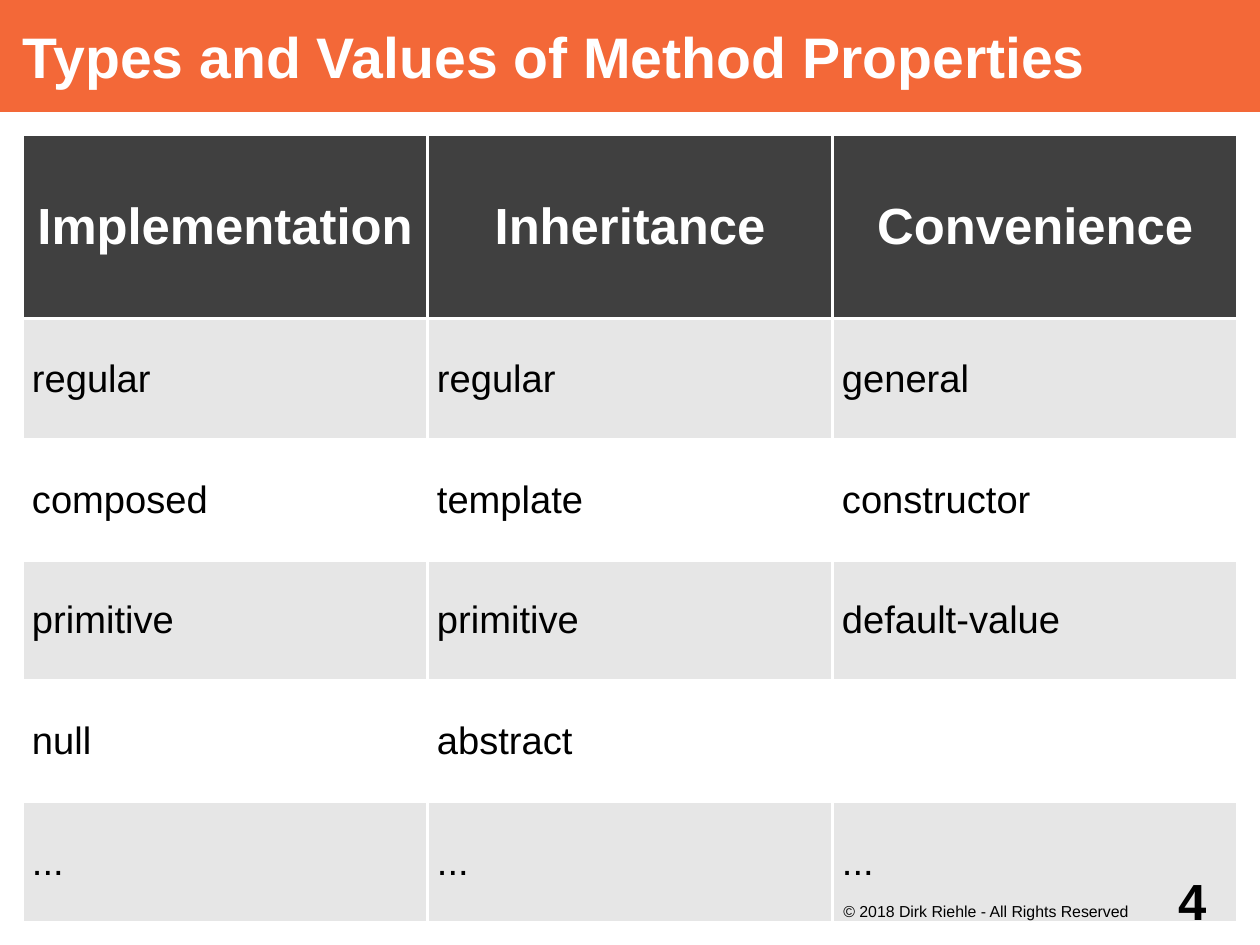
import pptx
import pptx.util
import pptx.dml.color
import pptx.enum.shapes
import pptx.enum.text
import pptx.oxml.ns
from dataclasses import dataclass
from lxml import etree

Inches = pptx.util.Inches
Align = pptx.enum.text.PP_ALIGN
Anchor = pptx.enum.text.MSO_ANCHOR


@dataclass(frozen=True)
class Theme:
    font: str = "Arial"
    accent: str = "F36838"
    head: str = "404040"
    band: str = "E6E6E6"
    light: str = "FFFFFF"
    dark: str = "000000"
    title: int = 36
    large: int = 32
    body: int = 24
    small: int = 10
    rule: float = 2.27


THEME = Theme()
WIDE, HIGH = 28 / 2.54, 21 / 2.54  # 28 by 21 cm
EDGE = 0.2
HEAD_ROW = 1.61
ROWS = [
    ["Implementation", "Inheritance", "Convenience"],
    ["regular", "regular", "general"],
    ["composed", "template", "constructor"],
    ["primitive", "primitive", "default-value"],
    ["null", "abstract", ""],
    ["...", "...", "..."],
]


def paint(fill, color):
    fill.solid()
    fill.fore_color.rgb = pptx.dml.color.RGBColor.from_string(color)


def write(frame, text, size=THEME.body, color=THEME.dark, bold=False, align=Align.LEFT):
    para = frame.paragraphs[0]
    para.alignment = align
    run = para.add_run()
    run.text = text
    font = run.font
    font.name, font.size, font.bold = THEME.font, pptx.util.Pt(size), bold
    font.color.rgb = pptx.dml.color.RGBColor.from_string(color)


def inset(frame, left=0, top=0, right=0, anchor=Anchor.MIDDLE):
    frame.word_wrap = True
    frame.margin_left, frame.margin_top = Inches(left), Inches(top)
    frame.margin_right, frame.margin_bottom = Inches(right), 0
    frame.vertical_anchor = anchor


def add_title(slide, text):
    bar = slide.shapes.add_shape(
        pptx.enum.shapes.MSO_SHAPE.RECTANGLE, 0, 0, Inches(WIDE), Inches(0.98))
    bar.shadow.inherit = False
    paint(bar.fill, THEME.accent)
    bar.line.fill.background()
    inset(bar.text_frame, left=EDGE)
    write(bar.text_frame, text, size=THEME.title, color=THEME.light, bold=True)


def add_note(slide, text, box, margin, **style):
    frame = slide.shapes.add_textbox(*map(Inches, box)).text_frame
    inset(frame, **margin)
    write(frame, text, align=Align.CENTER, **style)


def add_rules(cell):
    """Draw the white lines on all four sides of a cell."""
    props = cell._tc.get_or_add_tcPr()
    name = pptx.oxml.ns.qn
    for spot, side in enumerate(("lnL", "lnR", "lnT", "lnB")):
        line = etree.Element(name("a:" + side), w=str(pptx.util.Pt(THEME.rule)))
        fill = etree.SubElement(line, name("a:solidFill"))
        etree.SubElement(fill, name("a:srgbClr"), val=THEME.light)
        props.insert(spot, line)


def add_grid(slide, rows, left, top, width, height):
    count, cols = len(rows), len(rows[0])
    table = slide.shapes.add_table(
        count, cols, *map(Inches, (left, top, width, height))).table
    for col in table.columns:
        col.width = Inches(width / cols)
    for r, row in enumerate(rows):
        head = r == 0
        table.rows[r].height = Inches(
            HEAD_ROW if head else (height - HEAD_ROW) / (count - 1))
        if head:
            fill = THEME.head
            style = dict(size=THEME.large, color=THEME.light, bold=True, align=Align.CENTER)
        else:
            fill = THEME.band if r % 2 else THEME.light
            style = {}
        for c, text in enumerate(row):
            cell = table.cell(r, c)
            cell.vertical_anchor = Anchor.MIDDLE
            cell.margin_left = cell.margin_right = Inches(0.08)
            cell.margin_top = cell.margin_bottom = Inches(0.05)
            paint(cell.fill, fill)
            add_rules(cell)
            if text:
                write(cell.text_frame, text, **style)


def main():
    deck = pptx.Presentation()
    deck.slide_width, deck.slide_height = Inches(WIDE), Inches(HIGH)
    deck.element.sldSz.attrib.pop("type", None)
    slide = deck.slides.add_slide(deck.slide_layouts[6])
    add_title(slide, "Types and Values of Method Properties")
    add_grid(slide, ROWS, EDGE, 1.18, 10.63, 6.89)
    add_note(slide, "© 2018 Dirk Riehle - All Rights Reserved", (7.09, 7.87, 3.15, 0.39),
             dict(top=0.02, right=0.08, anchor=Anchor.TOP), size=THEME.small)
    add_note(slide, "4", (10.04, 7.48, 0.98, 0.79),
             dict(right=EDGE), size=THEME.large, bold=True)
    deck.save("out.pptx")


if __name__ == "__main__":
    main()
